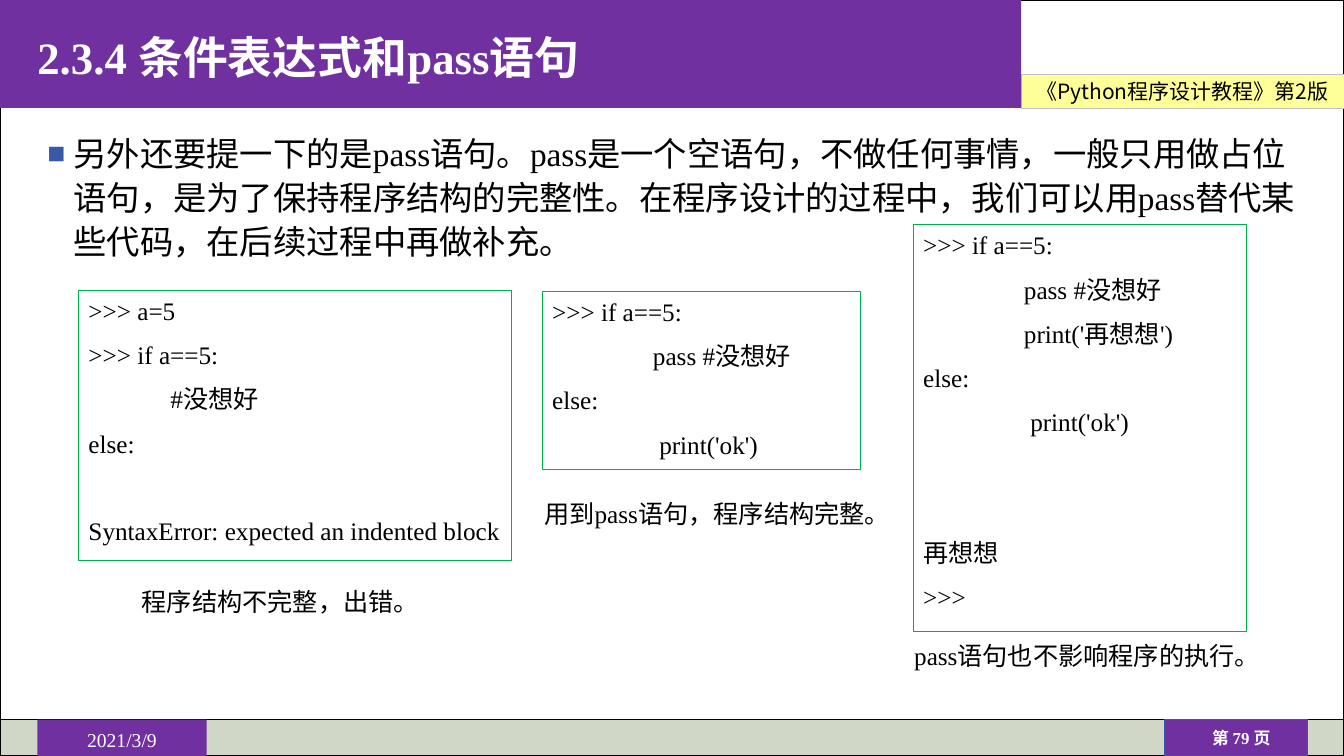
from lxml import etree
from pptx import Presentation
from pptx.dml.color import RGBColor
from pptx.enum.shapes import MSO_SHAPE as Preset
from pptx.enum.text import MSO_ANCHOR as Anchor, MSO_AUTO_SIZE as Fit, PP_ALIGN as Align
from pptx.oxml.ns import qn
from pptx.util import Pt

SERIF, SANS = "Times New Roman", "Noto Sans CJK SC"
BLACK, WHITE, PURPLE, BLUE = "000000", "FFFFFF", "7030A0", "365AA8"
GREEN, YELLOW, GRAY, SAGE = "00B050", "FFFF99", "C0C0C0", "D1D7C7"
WIDTH, HEIGHT = 960, 540
LEFT, BAND_WIDTH, BAND_HEIGHT = 26.64, 729.36, 77.04
FOOTER_TOP, FOOTER_HEIGHT = 514.08, 25.92
CODE_SIZE, LINE, STEP = 18, 20.7, 30.7

TITLE = "2.3.4 条件表达式和pass语句"
BODY = ("另外还要提一下的是pass语句。pass是一个空语句，不做任何事情，一般只用做占位语句，"
        "是为了保持程序结构的完整性。在程序设计的过程中，我们可以用pass替代某些代码，"
        "在后续过程中再做补充。")
BOOK = "《Python程序设计教程》第2版"
DATE, PAGE_NUMBER = "2021/3/9", "第 79 页"

# each code line: text, indent, steps below the line before
EXAMPLES = [
    {"box": (56.16, 207.36, 309.6, 192.96),
     "code": [(">>> a=5", 0, 1), (">>> if a==5:", 0, 1), ("#没想好", 58.5, 1),
              ("else:", 0, 1), ("SyntaxError: expected an indented block", 0, 2)],
     "caption": ("程序结构不完整，出错。", (92.88, 415.44, 214.56, 28.8))},
    {"box": (387.36, 208.08, 227.52, 127.44),
     "code": [(">>> if a==5:", 0, 1), ("pass #没想好", 72, 1),
              ("else:", 0, 1), ("print('ok')", 76.5, 1)],
     "caption": ("用到pass语句，程序结构完整。", (380.16, 352.08, 264.24, 28.8))},
    {"box": (652.32, 160.56, 238.32, 290.88),
     "code": [(">>> if a==5:", 0, 1), ("pass #没想好", 72, 1), ("print('再想想')", 72, 1),
              ("else:", 0, 1), ("print('ok')", 76.5, 1), ("再想想", 0, 3), (">>>", 0, 1)],
     "caption": ("pass语句也不影响程序的执行。", (644.4, 453.6, 264.24, 28.8))},
]


def color(value):
    return RGBColor.from_string(value)


def place(shape, area):
    shape.left, shape.top, shape.width, shape.height = map(Pt, area)


def add_box(area, fill=None, line=None, weight=1):
    box = page.shapes.add_shape(Preset.RECTANGLE, *map(Pt, area))
    box.shadow.inherit = False
    if fill:
        box.fill.solid()
        box.fill.fore_color.rgb = color(fill)
    else:
        box.fill.background()
    if line:
        box.line.color.rgb = color(line)
        box.line.width = Pt(weight)
    else:
        box.line.fill.background()
    return box


def set_frame(shape, inset=(7.2, 3.6), anchor=Anchor.TOP, wrap=True, fit=Fit.NONE):
    frame = shape.text_frame
    frame.margin_left = frame.margin_right = Pt(inset[0])
    frame.margin_top = frame.margin_bottom = Pt(inset[1])
    frame.vertical_anchor, frame.word_wrap, frame.auto_size = anchor, wrap, fit
    return frame


def write(para, text, size, ink=BLACK, align=Align.LEFT, name=SERIF, bold=False):
    para.text, para.alignment = text, align
    font = para.font
    font.size, font.name, font.bold = Pt(size), name, bold
    font.color.rgb = color(ink)


def set_indent(para, left, first=0):
    props = para._p.get_or_add_pPr()
    props.set("marL", str(Pt(left)))
    props.set("indent", str(Pt(first)))
    return props


def add_bullet(para, char, ink, percent):
    props = set_indent(para, 18.72, -18.72)
    tint = etree.SubElement(props, qn("a:buClr"))
    etree.SubElement(tint, qn("a:srgbClr"), val=ink)
    etree.SubElement(props, qn("a:buSzPct"), val=str(percent * 1000))
    etree.SubElement(props, qn("a:buChar"), char=char)


def add_code(area, lines):
    frame = set_frame(add_box(area, line=GREEN, weight=0.75))
    for index, (text, indent, steps) in enumerate(lines):
        para = frame.add_paragraph() if index else frame.paragraphs[0]
        write(para, text, CODE_SIZE)
        set_indent(para, indent)
        if index:
            para.space_before = Pt(round(steps * STEP - LINE, 1))


def add_caption(text, area):
    caption = page.shapes.add_textbox(*map(Pt, area))
    frame = set_frame(caption, wrap=False, fit=Fit.SHAPE_TO_FIT_TEXT)
    write(frame.paragraphs[0], text, CODE_SIZE, align=Align.CENTER)


deck = Presentation()
deck.slide_width, deck.slide_height = Pt(WIDTH), Pt(HEIGHT)
page = deck.slides.add_slide(deck.slide_layouts[1])
title, body = page.placeholders

add_box((0, 0, WIDTH, HEIGHT), line=BLACK)
add_box((0, FOOTER_TOP, WIDTH, FOOTER_HEIGHT), SAGE, BLACK)
book = add_box((BAND_WIDTH, 53.28, WIDTH - BAND_WIDTH, 24.48), YELLOW, GRAY, 0.5)
write(set_frame(book, (3.6, 2.88)).paragraphs[0], BOOK, 15, align=Align.CENTER, name=SANS)
add_box((0, 0, BAND_WIDTH, BAND_HEIGHT), PURPLE)
add_box((831.6, FOOTER_TOP, 102.24, FOOTER_HEIGHT), PURPLE, BLUE)
number = page.shapes.add_textbox(*map(Pt, (839.52, 519.12, 94.32, 15.84)))
write(set_frame(number, (4.32, 0.72)).paragraphs[0], PAGE_NUMBER, 12, WHITE, Align.CENTER, bold=True)
date = add_box((LEFT, FOOTER_TOP, 120.96, FOOTER_HEIGHT), PURPLE)
write(set_frame(date, (3.6, 5.76)).paragraphs[0], DATE, 14, WHITE, Align.CENTER)

for holder in (title, body):
    page.shapes._spTree.append(holder._element)
place(title, (LEFT, 0, BAND_WIDTH - LEFT, BAND_HEIGHT))
heading = set_frame(title, (0, 0), Anchor.MIDDLE).paragraphs[0]
write(heading, TITLE, 32, WHITE, bold=True)
heading.line_spacing = 1.1
place(body, (LEFT, 88.56, 907.2, 102.96))
point = set_frame(body).paragraphs[0]
write(point, BODY, 23.8)
point.line_spacing = 1.1
point.space_before = point.space_after = Pt(5)
add_bullet(point, "■", BLUE, 90)

for example in EXAMPLES:
    add_code(example["box"], example["code"])
    add_caption(*example["caption"])

deck.save("out.pptx")
